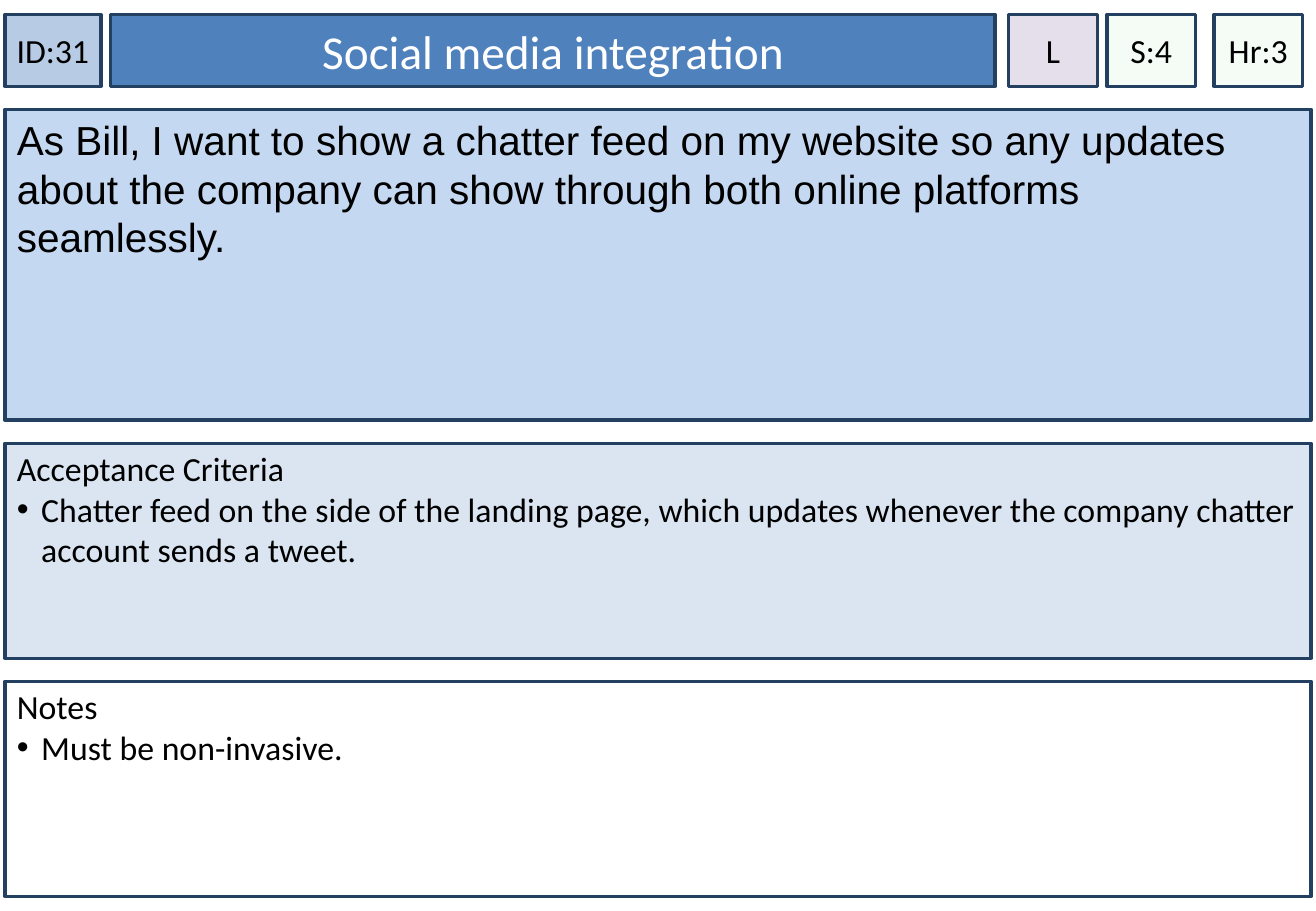
from collections import namedtuple
from dataclasses import dataclass

from lxml import etree
from pptx import Presentation
from pptx.dml.color import RGBColor
from pptx.enum.shapes import MSO_SHAPE
from pptx.enum.text import MSO_ANCHOR, PP_ALIGN
from pptx.oxml.ns import qn
from pptx.util import Inches, Pt

RECT = MSO_SHAPE.RECTANGLE
TOP, MIDDLE = MSO_ANCHOR.TOP, MSO_ANCHOR.MIDDLE
LEFT, CENTER = PP_ALIGN.LEFT, PP_ALIGN.CENTER

Box = namedtuple("Box", "left top width height")


@dataclass(frozen=True)
class Theme:
    font: str = "Calibri"
    story_font: str = "Arial"
    title_size: int = 28
    story_size: int = 24
    body_size: int = 20
    text: str = "000000"
    title_text: str = "FFFFFF"
    line: str = "244061"
    line_width: int = 2
    id_fill: str = "B7CCE4"
    title_fill: str = "4F81BD"
    size_fill: str = "E5DFEC"
    estimate_fill: str = "CCF0CD"
    estimate_alpha: int = 20
    story_fill: str = "C5D8F1"
    criteria_fill: str = "DAE5F1"
    remarks_fill: str = "FFFFFF"


THEME = Theme()


def column(box, left, width):
    return Box(box.left + box.width * left / 100, box.top,
               box.width * width / 100, box.height)


def add_panel(s, box, fill, alpha=100, anchor=TOP, side=0.1, top=0.05):
    sp = s.shapes.add_shape(RECT, *(round(v) for v in box))
    sp.shadow.inherit = False
    sp.fill.solid()
    sp.fill.fore_color.rgb = RGBColor.from_string(fill)
    if alpha < 100:
        color = sp.element.spPr.find(qn("a:solidFill"))[0]
        etree.SubElement(color, qn("a:alpha"), val=str(alpha * 1000))
    sp.line.color.rgb = RGBColor.from_string(THEME.line)
    sp.line.width = Pt(THEME.line_width)
    tf = sp.text_frame
    tf.word_wrap = True
    tf.vertical_anchor = anchor
    tf.margin_left = tf.margin_right = Inches(side)
    tf.margin_top, tf.margin_bottom = Inches(top), Inches(0.05)
    return tf


def add_text(p, text, size=THEME.body_size, font=THEME.font,
             color=THEME.text, align=LEFT):
    p.alignment = align
    r = p.add_run()
    r.text = text
    r.font.size = Pt(size)
    r.font.name = font
    r.font.color.rgb = RGBColor.from_string(color)


def add_bullet(p):
    pPr = p._p.get_or_add_pPr()
    pPr.set("marL", str(Inches(0.2)))
    pPr.set("indent", str(-Inches(0.2)))
    color = etree.SubElement(pPr, qn("a:buClr"))
    etree.SubElement(color, qn("a:srgbClr"), val=THEME.text)
    etree.SubElement(pPr, qn("a:buFont"), typeface="Arial")
    etree.SubElement(pPr, qn("a:buChar"), char="•")


def add_header(s, box, title, tags):
    tf = add_panel(s, column(box, 8.09, 67.72), THEME.title_fill, anchor=MIDDLE)
    add_text(tf.paragraphs[0], title, THEME.title_size,
             color=THEME.title_text, align=CENTER)
    for text, left, width, fill, alpha in tags:
        tf = add_panel(s, column(box, left, width), fill, alpha, MIDDLE, side=0)
        add_text(tf.paragraphs[0], text, align=CENTER)


def add_story(s, box, text):
    tf = add_panel(s, box, THEME.story_fill)
    add_text(tf.paragraphs[0], text, THEME.story_size, THEME.story_font)


def add_list(s, box, fill, heading, items):
    tf = add_panel(s, box, fill, top=0.04)
    add_text(tf.paragraphs[0], heading)
    for item in items:
        p = tf.add_paragraph()
        add_text(p, item)
        add_bullet(p)


def stack_rows(prs, heights, left=0.37, top=1.6, width=99.26, gap=2.53):
    w, h = prs.slide_width / 100, prs.slide_height / 100
    rows = []
    for height in heights:
        rows.append(Box(left * w, top * h, width * w, height * h))
        top += height + gap
    return rows


def main():
    prs = Presentation()
    prs.slide_width, prs.slide_height = Inches(10.83), Inches(7.5)
    s = prs.slides.add_slide(prs.slide_layouts[6])
    header, story, criteria, remarks = stack_rows(prs, (7.87, 34.13, 23.6, 23.6))
    add_header(s, header, "Social media integration", (
        ("ID:31", 0, 7.35, THEME.id_fill, 100),
        ("L", 76.84, 6.79, THEME.size_fill, 100),
        ("S:4", 84.37, 6.79, THEME.estimate_fill, THEME.estimate_alpha),
        ("Hr:3", 92.56, 6.79, THEME.estimate_fill, THEME.estimate_alpha),
    ))
    add_story(s, story, "As Bill, I want to show a chatter feed on my website "
              "so any updates about the company can show through both online "
              "platforms seamlessly.")
    add_list(s, criteria, THEME.criteria_fill, "Acceptance Criteria", (
        "Chatter feed on the side of the landing page, which updates whenever "
        "the company chatter account sends a tweet.",))
    add_list(s, remarks, THEME.remarks_fill, "Notes", ("Must be non-invasive.",))
    prs.save("out.pptx")


if __name__ == "__main__":
    main()
